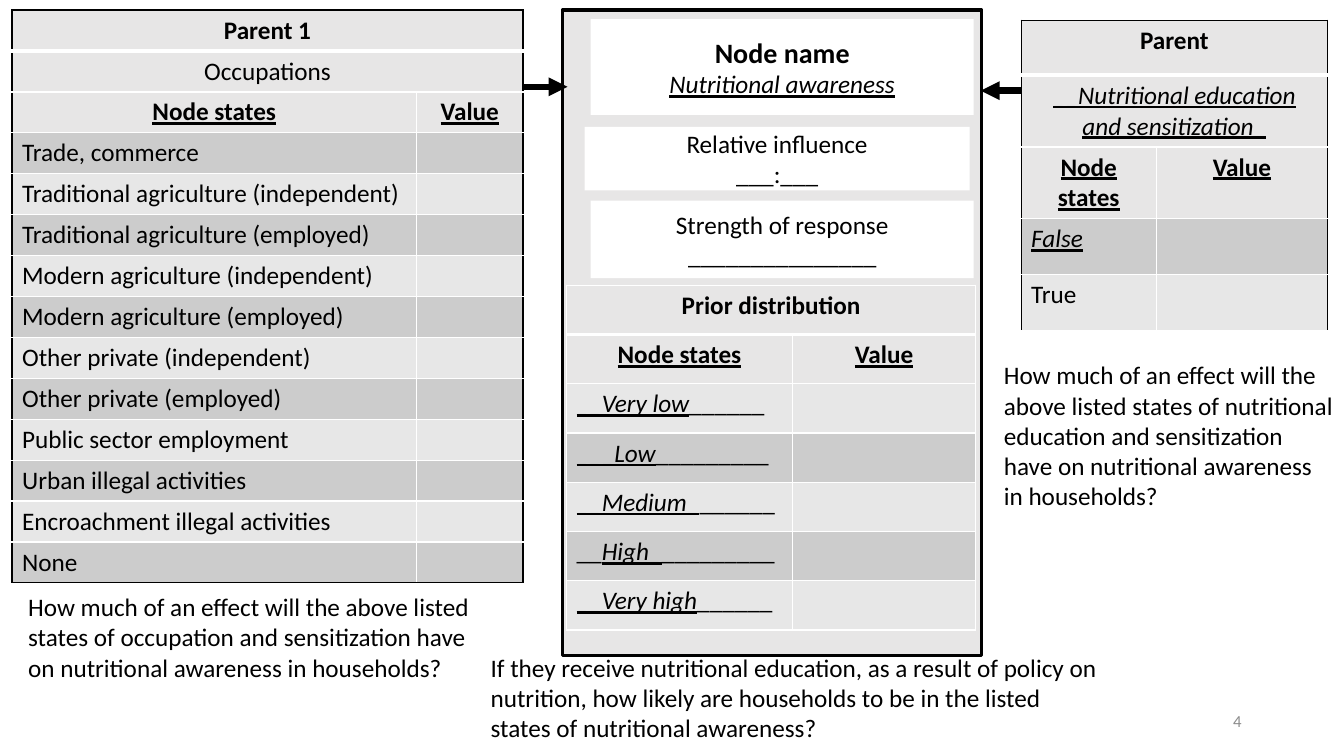
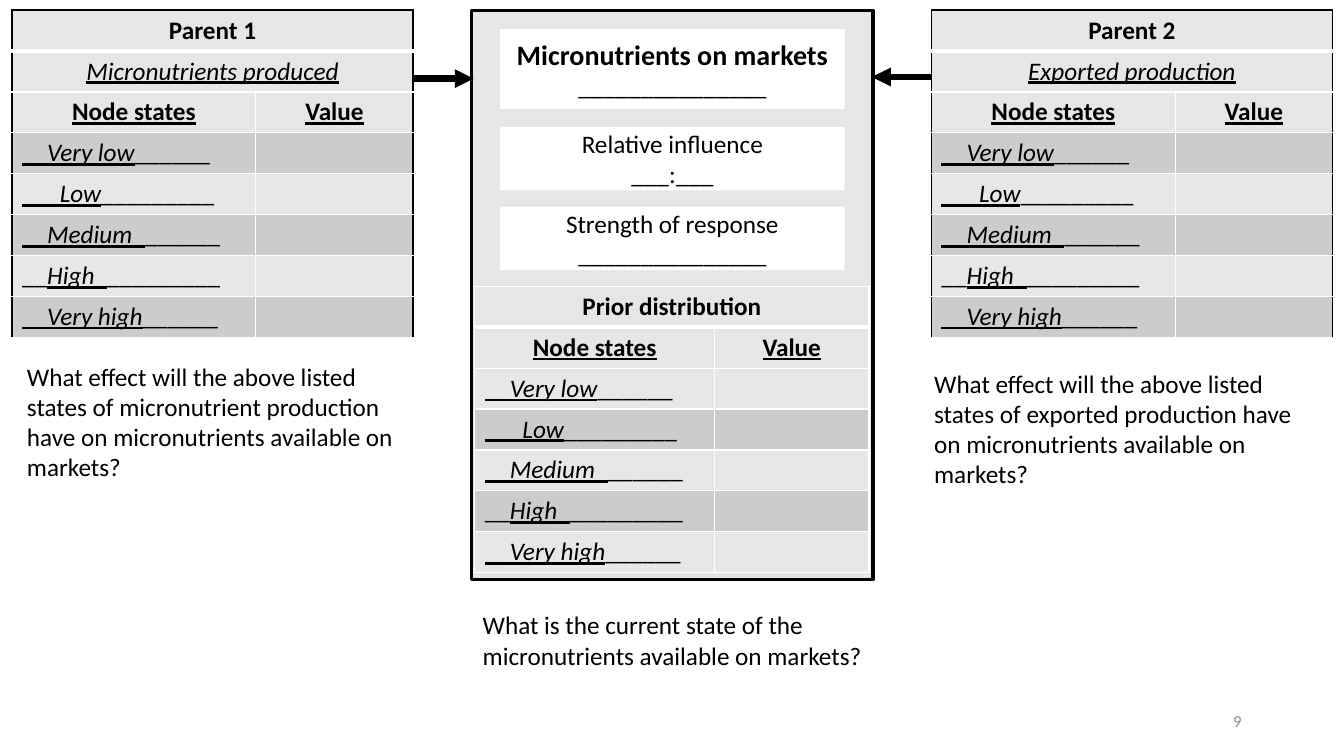
from lxml import etree
from pptx import Presentation
from pptx.dml.color import RGBColor
from pptx.enum.shapes import MSO_CONNECTOR, MSO_SHAPE
from pptx.enum.text import MSO_ANCHOR, PP_ALIGN
from pptx.oxml.ns import qn
from pptx.util import Pt

ELBOW, RECT = MSO_CONNECTOR.ELBOW, MSO_SHAPE.RECTANGLE
LEFT, CENTER, RIGHT = PP_ALIGN.LEFT, PP_ALIGN.CENTER, PP_ALIGN.RIGHT
TOP, MIDDLE = MSO_ANCHOR.TOP, MSO_ANCHOR.MIDDLE

BLACK, WHITE, GRAY = "000000", "FFFFFF", "8C8C8C"
PANEL, LIGHT, DARK = "E7E6E6", "E7E7E7", "CCCCCC"
FONT = "Calibri"
ROW_H = 29.25
STYLES = {"b": "bold", "i": "italic", "u": "underline"}
BLANK = "_" * 15

# Each table entry is a list of runs: (text, style letters)
LEVELS = [
    [("__Very low", "iu"), ("______", "")],
    [("___Low", "iu"), ("_________", "")],
    [("__Medium_", "iu"), ("______", "")],
    [("__", ""), ("High_", "iu"), ("_________", "")],
    [("__Very high", "iu"), ("______", "")],
]
OCCUPATIONS = [[(name, "")] for name in (
    "Trade, commerce",
    "Traditional agriculture (independent)",
    "Traditional agriculture (employed)",
    "Modern agriculture (independent)",
    "Modern agriculture (employed)",
    "Other private (independent)",
    "Other private (employed)",
    "Public sector employment",
    "Urban illegal activities",
    "Encroachment illegal activities",
    "None",
)]


def rgb(color):
    return RGBColor.from_string(color)


def pts(*values):
    return [Pt(v) for v in values]


def add_runs(p, runs, align=LEFT, size=18, color=BLACK):
    p.alignment = align
    for text, style in runs:
        r = p.add_run()
        r.text = text
        fmt = {"name": FONT, "size": Pt(size)}
        fmt.update({attr: key in style for key, attr in STYLES.items()})
        for attr, value in fmt.items():
            setattr(r.font, attr, value)
        r.font.color.rgb = rgb(color)


def add_box(slide, box, fill, line=None):
    sp = slide.shapes.add_shape(RECT, *pts(*box))
    sp.shadow.inherit = False
    sp.fill.solid()
    sp.fill.fore_color.rgb = rgb(fill)
    if line:
        sp.line.color.rgb = rgb(line)
        sp.line.width = Pt(2.25)
    else:
        sp.line.fill.background()
    return sp


def add_card(slide, box, lines):
    """White box with centred lines of (text, style, size)."""
    tf = add_box(slide, box, WHITE).text_frame
    tf.word_wrap = True
    tf.vertical_anchor = MIDDLE
    for i, (text, style, size) in enumerate(lines):
        p = tf.add_paragraph() if i else tf.paragraphs[0]
        add_runs(p, [(text, style)], CENTER, size)


def add_text(slide, box, text, align=LEFT, anchor=TOP, **fmt):
    tf = slide.shapes.add_textbox(*pts(*box)).text_frame
    tf.word_wrap = True
    tf.vertical_anchor = anchor
    add_runs(tf.paragraphs[0], [(text, "")], align, **fmt)


def add_arrow(slide, start, end):
    c = slide.shapes.add_connector(ELBOW, *pts(*start, *end))
    c.line.color.rgb = rgb(BLACK)
    c.line.width = Pt(4.5)
    etree.SubElement(c.line._get_or_add_ln(), qn("a:tailEnd"), type="triangle")
    etree.SubElement(c._element.spPr, qn("a:effectLst"))


def set_cell(cell, fill, edges):
    """Edges map a side (L, R, T, B) to (colour, width)."""
    tcPr = cell._tc.get_or_add_tcPr()
    for side, (color, width) in edges.items():
        ln = etree.SubElement(tcPr, qn(f"a:ln{side}"), w=str(int(Pt(width))))
        solid = etree.SubElement(ln, qn("a:solidFill"))
        etree.SubElement(solid, qn("a:srgbClr"), val=color)
    cell.fill.solid()
    cell.fill.fore_color.rgb = rgb(fill)


def state_table(slide, at, cols, titles, states, heights=None,
                bands=(DARK, LIGHT), frame=BLACK, bottom=WHITE):
    """Merged title rows, a heading row, then one banded row per state."""
    head = len(titles)
    count = head + 1 + len(states)
    heights = heights or [ROW_H] * count
    tbl = slide.shapes.add_table(
        count, 2, *pts(*at, sum(cols), sum(heights))).table
    tbl.first_row = tbl.horz_banding = False
    for col, width in zip(tbl.columns, cols):
        col.width = Pt(width)
    for i, (row, height) in enumerate(zip(tbl.rows, heights)):
        row.height = Pt(height)
        merged = i < head
        fill = PANEL if i <= head else bands[(i - head - 1) % 2]
        for j, cell in enumerate(row.cells):
            low = (WHITE, 3) if i == 0 else (
                bottom if i == count - 1 else WHITE, 1)
            set_cell(cell, fill, {
                "L": (WHITE if j else frame, 1),
                "R": (frame if j or merged else WHITE, 1),
                "T": (WHITE if i else frame, 1),
                "B": low,
            })
        first, second = row.cells
        if merged:
            first.merge(second)
            add_runs(first.text_frame.paragraphs[0], [titles[i]], CENTER)
        elif i == head:
            for cell, text in ((first, "Node states"), (second, "Value")):
                add_runs(cell.text_frame.paragraphs[0], [(text, "bu")], CENTER)
        else:
            add_runs(first.text_frame.paragraphs[0], states[i - head - 1])


def node_panel(slide, box, cards, title, prior_at, cols, row_h=ROW_H):
    """Central node: three cards above its prior distribution."""
    x, y = box[:2]
    add_box(slide, box, PANEL, BLACK)
    texts = (
        title,
        [("Relative influence", "", 18), ("___:___", "", 18)],
        [("Strength of response", "", 18), (BLANK, "", 18)],
    )
    for (dx, dy, w, h), lines in zip(cards, texts):
        add_card(slide, (x + dx, y + dy, w, h), lines)
    state_table(slide, (x + prior_at[0], y + prior_at[1]), cols,
                [("Prior distribution", "b")], LEVELS,
                [row_h] * (len(LEVELS) + 2), (LIGHT, DARK), WHITE)


def new_slide(prs, number):
    slide = prs.slides.add_slide(prs.slide_layouts[6])
    add_text(slide, (678, 500.5, 216, 28.75), number, RIGHT, MIDDLE,
             size=12, color=GRAY)
    return slide


def awareness_slide(prs):
    slide = new_slide(prs, "4")
    node_panel(
        slide, (401.8, 7.2, 299.5, 460.8),
        [(20.2, 6.5, 273.6, 68.4), (15.8, 83.5, 275, 45.4),
         (20.2, 136.1, 273.6, 55.4)],
        [("Node name", "b", 20), ("Nutritional awareness", "iu", 18)],
        (2.9, 196.6), (161.3, 131), 35.2)
    # Arrows start behind the parent tables
    add_arrow(slide, (225.4, 61.5), (405.4, 62))
    add_arrow(slide, (805.7, 69), (700.6, 64.8))
    state_table(slide, (8.6, 7.2), (289, 76),
                [("Parent 1", "b"), ("Occupations", "")],
                OCCUPATIONS, bottom=BLACK)
    state_table(slide, (729.4, 14.4), (96.5, 122.4),
                [("Parent", "b"),
                 ("__Nutritional education and sensitization_", "iu")],
                [[("False", "iu")], [("True", "")]],
                [39.4, 51.2, 51.2, 40, 40])
    # Questions
    add_text(slide, (13, 419, 342, 72.7),
             "How much of an effect will the above listed states of occupation "
             "and sensitization have on nutritional awareness in households?")
    add_text(slide, (343.4, 462.2, 453.6, 72.7),
             "If they receive nutritional education, as a result of policy on "
             "nutrition, how likely are households to be in the listed states "
             "of nutritional awareness?")
    add_text(slide, (710, 253.4, 249.8, 116.6),
             "How much of an effect will the above listed states of "
             "nutritional education and sensitization have on nutritional "
             "awareness in households?")


def markets_slide(prs):
    slide = new_slide(prs, "9")
    node_panel(
        slide, (337, 7.2, 286.6, 406.8),
        [(20.2, dy, 246.2, h)
         for dy, h in ((13.7, 56.9), (83.5, 45.4), (140.4, 45.4))],
        [("Micronutrients on markets", "b", 20), (BLANK, "", 18)],
        (2.1, 197.3), (171.4, 110.2))
    # Arrows start behind the parent tables
    add_arrow(slide, (225.4, 61.2), (338.4, 56.2))
    add_arrow(slide, (722.2, 56), (622.8, 55))
    for x, name, source in ((8.6, "Parent 1", "Micronutrients produced"),
                            (665.3, "Parent 2", "Exported production")):
        state_table(slide, (x, 7.2), (174.2, 112.3),
                    [(name, "b"), (source, "iu")], LEVELS)
    # Questions
    for x, y, topic in ((12.2, 254.2, "micronutrient"),
                        (660.2, 259.2, "exported")):
        add_text(slide, (x, y, 285.1, 94.3),
                 f"What effect will the above listed states of {topic} "
                 "production have on micronutrients available on markets?")
    add_text(slide, (337.7, 432, 285.1, 72.7),
             "What is the current state of the micronutrients available on "
             "markets?")


prs = Presentation()
prs.slide_width, prs.slide_height = pts(960, 540)
awareness_slide(prs)
markets_slide(prs)
prs.save("out.pptx")
